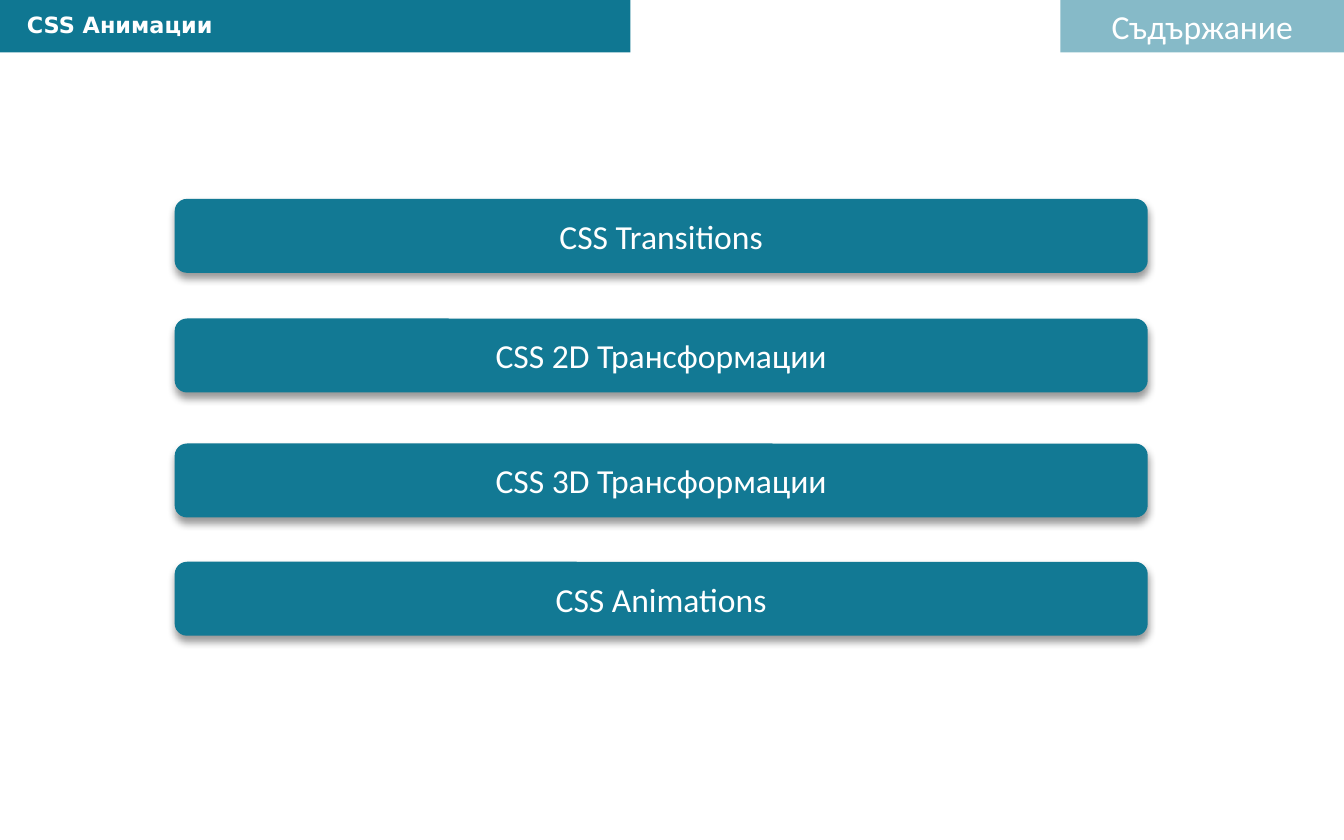
from lxml import etree
from pptx import Presentation
from pptx.dml.color import RGBColor
from pptx.enum.shapes import MSO_SHAPE as Shape
from pptx.enum.text import MSO_ANCHOR as Anchor, MSO_AUTO_SIZE as AutoSize, PP_ALIGN as Align
from pptx.oxml import parse_xml
from pptx.oxml.ns import nsdecls, qn
from pptx.util import Inches, Pt

BAND = "0F7792"
BUTTON = "127994"
WHITE = "FFFFFF"
SHADOW = (
    f'<a:effectLst {nsdecls("a")}>'
    f'<a:outerShdw blurRad="{Pt(4)}" dist="{Pt(3)}" dir="5400000" rotWithShape="0">'
    '<a:srgbClr val="000000"><a:alpha val="40000"/></a:srgbClr>'
    '</a:outerShdw></a:effectLst>'
)
TOPICS = [
    ("CSS Transitions", 1.48),
    ("CSS 2D Трансформации", 2.37),
    ("CSS 3D Трансформации", 3.3),
    ("CSS Animations", 4.18),
]


def color(hex_value):
    return RGBColor.from_string(hex_value)


class ContentsSlide:
    text_font = "Calibri"
    title_font = "DejaVu Sans"
    text_size = 18
    title_size = 12

    def __init__(self, slide):
        self.slide = slide

    def label(self, frame, text, font_name, size, align, bold=False):
        frame.text = text
        paragraph = frame.paragraphs[0]
        paragraph.alignment = align
        font = paragraph.runs[0].font
        font.name = font_name
        font.size = Pt(size)
        font.bold = bold
        font.color.rgb = color(WHITE)

    def block(self, kind, left, top, width, height, fill, text=None):
        block = self.slide.shapes.add_shape(
            kind, Inches(left), Inches(top), Inches(width), Inches(height))
        block.shadow.inherit = False
        block.fill.solid()
        block.fill.fore_color.rgb = color(fill)
        block.line.fill.background()
        if text:
            block.text_frame.vertical_anchor = Anchor.MIDDLE
            self.label(block.text_frame, text, self.text_font, self.text_size, Align.CENTER)
        return block

    def section_tab(self, text):
        tab = self.block(Shape.RECTANGLE, 7.89, 0, 2.11, 0.39, BAND, text)
        fill_color = tab._element.spPr.find(qn("a:solidFill"))[0]
        etree.SubElement(fill_color, qn("a:alpha")).set("val", "50000")

    def title(self, text):
        self.block(Shape.RECTANGLE, 0, 0, 4.69, 0.39, BAND)
        title = self.slide.shapes.title
        title.left, title.top = Inches(0.1), Inches(0.03)
        title.width, title.height = Inches(4.51), Inches(0.3)
        frame = title.text_frame
        frame.word_wrap = True
        frame.auto_size = AutoSize.SHAPE_TO_FIT_TEXT
        frame.vertical_anchor = Anchor.TOP
        self.label(frame, text, self.title_font, self.title_size, Align.LEFT, bold=True)
        self.slide.shapes._spTree.append(title._element)

    def topic(self, text, top):
        button = self.block(Shape.ROUNDED_RECTANGLE, 1.3, top, 7.24, 0.55, BUTTON, text)
        properties = button._element.spPr
        properties.replace(properties.find(qn("a:effectLst")), parse_xml(SHADOW))


def main():
    deck = Presentation()
    deck.slide_width = Inches(10)
    deck.slide_height = Inches(6.25)
    contents = ContentsSlide(deck.slides.add_slide(deck.slide_layouts[5]))
    contents.section_tab("Съдържание")
    contents.title("CSS Анимации")
    for text, top in TOPICS:
        contents.topic(text, top)
    deck.save("out.pptx")


if __name__ == "__main__":
    main()
